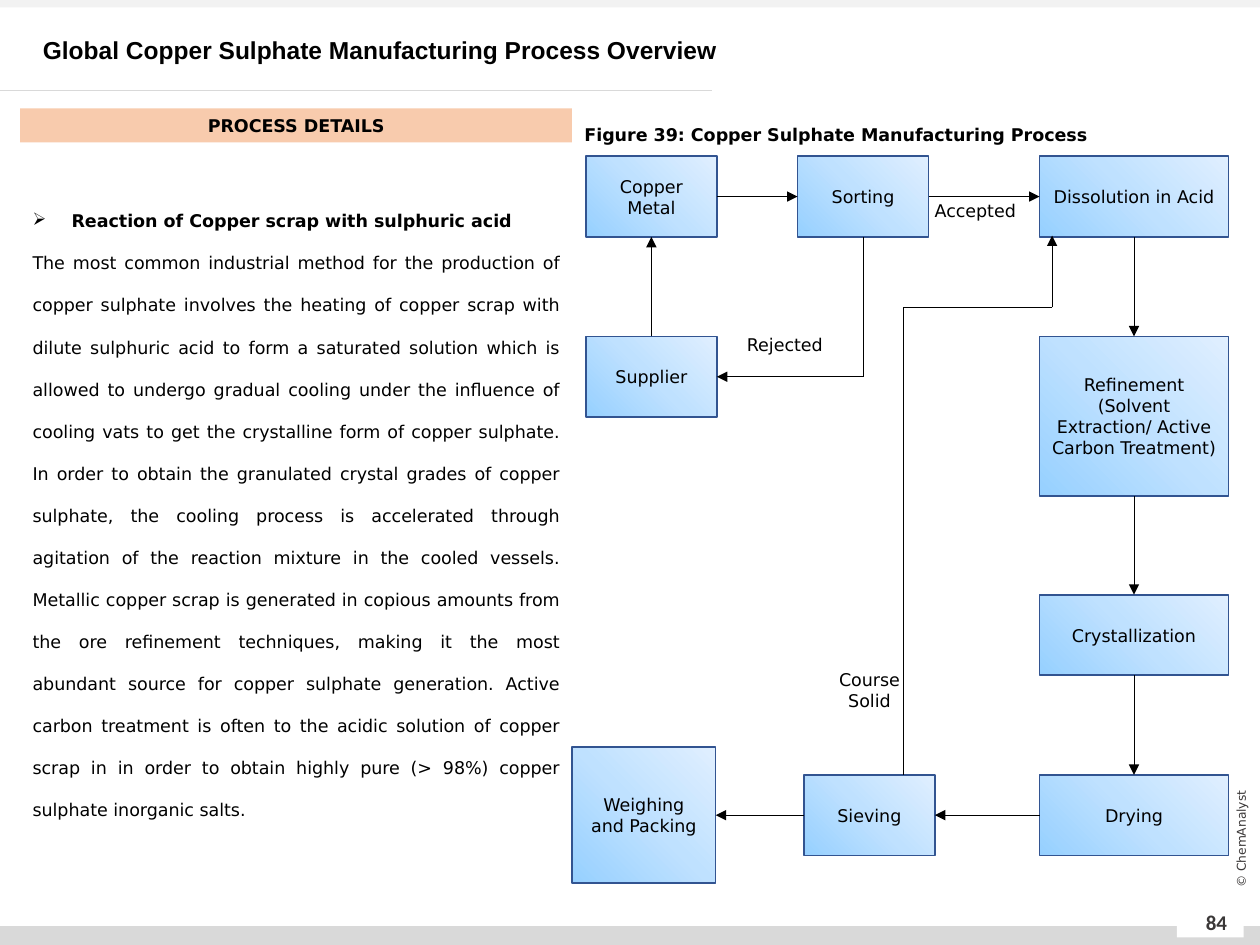
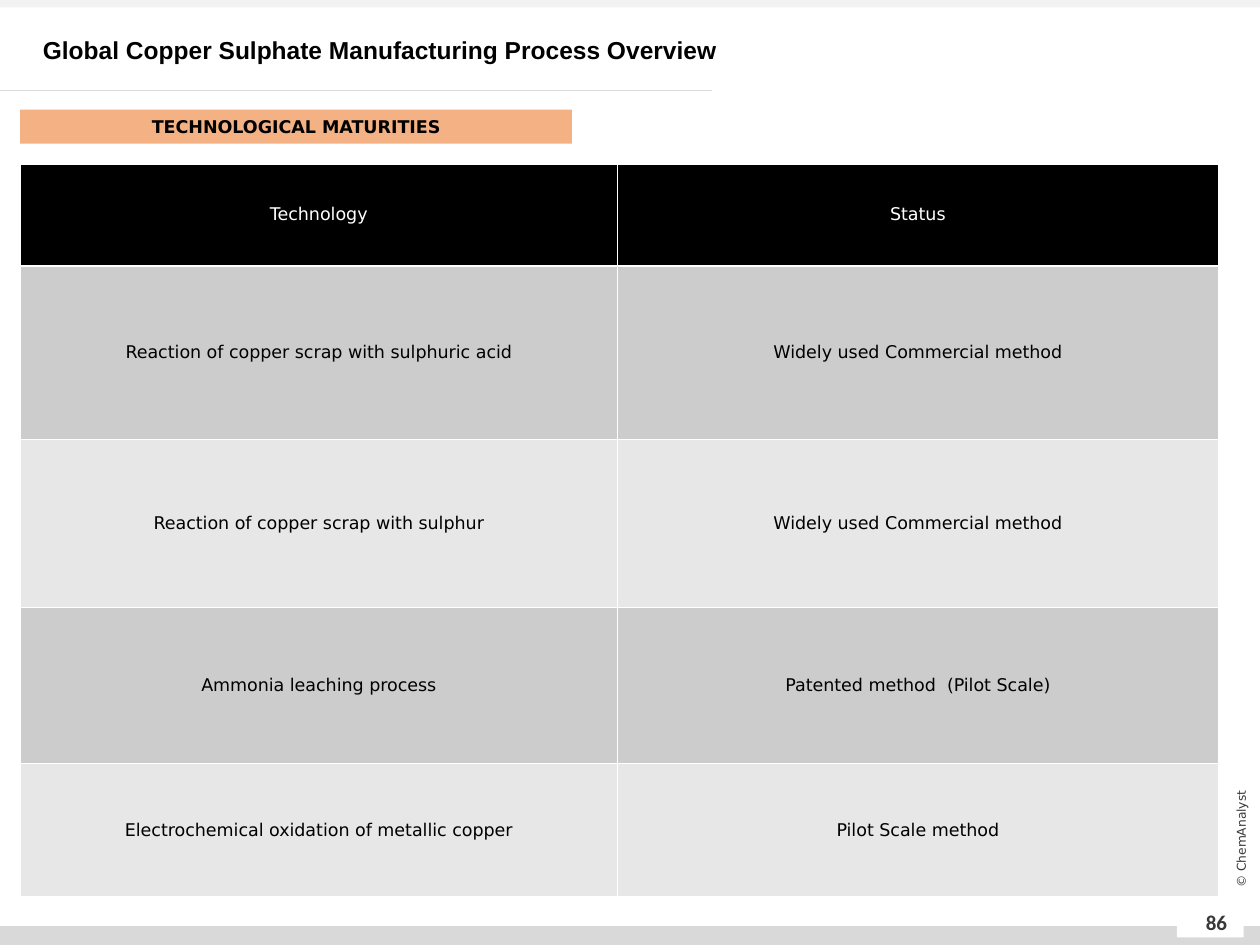
"""Build two slides on how copper sulphate is made and how mature each route is."""
from copy import deepcopy
from dataclasses import dataclass

from lxml.etree import SubElement
from pptx import Presentation
from pptx.dml.color import RGBColor
from pptx.enum.shapes import MSO_CONNECTOR, MSO_SHAPE
from pptx.enum.text import MSO_ANCHOR, MSO_AUTO_SIZE, PP_ALIGN
from pptx.oxml.ns import qn
from pptx.util import Inches, Pt


@dataclass(frozen=True)
class Theme:
    font: str = "DejaVu Sans"
    title_font: str = "Arial"
    number_font: str = "Calibri"
    title_size: int = 14
    number_size: int = 12
    body_size: int = 10
    credit_size: int = 7
    ink: str = "000000"
    paper: str = "FFFFFF"
    soft_ink: str = "3B3838"
    rule: str = "D9D9D9"
    top_band: str = "F2F2F2"
    step_line: str = "325491"
    step_stops: tuple = ((0, "96D0FF"), (0.5, "BFE1FF"), (1, "E0EFFF"))
    row_fills: tuple = ("E7E7E7", "CCCCCC")


theme = Theme()


def write(frame, text, size=theme.body_size, font=theme.font, color=theme.ink,
          bold=False, align=PP_ALIGN.CENTER, anchor=MSO_ANCHOR.MIDDLE):
    frame.word_wrap = True
    frame.vertical_anchor = anchor
    para = frame.paragraphs[0]
    para.alignment = align
    span = para.add_run()
    span.text = text
    span.font.size = Pt(size)
    span.font.name = font
    span.font.bold = bold
    span.font.color.rgb = RGBColor.from_string(color)
    return para


def draw_line(page, start, end, color=theme.ink, arrow=False):
    points = [(0, 0) if isinstance(point[0], str) else point for point in (start, end)]
    lengths = [Inches(value) for point in points for value in point]
    line = page.shapes.add_connector(MSO_CONNECTOR.STRAIGHT, *lengths)
    if isinstance(start[0], str):
        line.begin_connect(steps[start[0]], start[1])
    if isinstance(end[0], str):
        line.end_connect(steps[end[0]], end[1])
    line.line.width = Pt(0.5)
    line.line.color.rgb = RGBColor.from_string(color)
    properties = line._element.spPr
    if arrow:
        SubElement(properties.find(qn("a:ln")), qn("a:tailEnd"), type="triangle")
    SubElement(properties, qn("a:effectLst"))


deck = Presentation()
deck.slide_width, deck.slide_height = Inches(10), Inches(7.5)

bands = [
    ((0, 7.35, 10, 0.15), theme.rule),
    ((0, 0, 10, 0.06), theme.top_band),
    ((9.34, 7.22, 0.53, 0.22), theme.paper),
]
headings = [
    ("84", "PROCESS DETAILS", 0.86, "F8CBAD"),
    ("86", "TECHNOLOGICAL MATURITIES", 0.87, "F4B183"),
]
for number, heading, heading_top, heading_fill in headings:
    page = deck.slides.add_slide(deck.slide_layouts[5])
    heading_band = ((0.16, heading_top, 4.38, 0.27), heading_fill)
    for place, fill in bands + [heading_band]:
        box = page.shapes.add_shape(MSO_SHAPE.RECTANGLE, *map(Inches, place))
        box.shadow.inherit = False
        box.fill.solid()
        box.fill.fore_color.rgb = RGBColor.from_string(fill)
        box.line.fill.background()
    write(box.text_frame, heading, bold=True)
    draw_line(page, (0, 0.72), (5.65, 0.72), theme.rule)

    box = page.shapes.add_textbox(Inches(9.41), Inches(7.12), Inches(0.49), Inches(0.4))
    write(box.text_frame, number, theme.number_size, theme.number_font, theme.soft_ink, True)
    box = page.shapes.add_textbox(Inches(9.25), Inches(6.58), Inches(1.2), Inches(0.16))
    box.rotation = 270
    write(box.text_frame, "© ChemAnalyst", theme.credit_size, color=theme.soft_ink)

    title = page.shapes.title
    title.left, title.top = Inches(0.24), Inches(0.22)
    title.width, title.height = Inches(8.87), Inches(0.34)
    title.text_frame.auto_size = MSO_AUTO_SIZE.NONE
    para = write(title.text_frame, "Global Copper Sulphate Manufacturing Process Overview",
                 theme.title_size, theme.title_font, bold=True, align=PP_ALIGN.LEFT)
    para.line_spacing = Pt(17)

process_page, maturity_page = deck.slides

box = process_page.shapes.add_textbox(Inches(0.16), Inches(1.62), Inches(4.38), Inches(5.01))
para = write(box.text_frame, "Reaction of Copper scrap with sulphuric acid", bold=True,
             align=PP_ALIGN.LEFT, anchor=MSO_ANCHOR.TOP)
layout = para._p.get_or_add_pPr()
layout.set("marL", str(Inches(0.31)))
layout.set("indent", str(-Inches(0.31)))
SubElement(layout, qn("a:buChar"), char="➢")
para = box.text_frame.add_paragraph()
para.alignment = PP_ALIGN.JUSTIFY
para.line_spacing = 2.0
span = para.add_run()
span.text = (
    "The most common industrial method for the production of copper sulphate involves the "
    "heating of copper scrap with dilute sulphuric acid to form a saturated solution which is "
    "allowed to undergo gradual cooling under the influence of cooling vats to get the "
    "crystalline form of copper sulphate. In order to obtain the granulated crystal grades of "
    "copper sulphate, the cooling process is accelerated through agitation of the reaction "
    "mixture in the cooled vessels. Metallic copper scrap is generated in copious amounts from "
    "the ore refinement techniques, making it the most abundant source for copper sulphate "
    "generation. Active carbon treatment is often to the acidic solution of copper scrap in in "
    "order to obtain highly pure (> 98%) copper sulphate inorganic salts."
)
span.font.size = Pt(theme.body_size)
span.font.name = theme.font
span.font.color.rgb = RGBColor.from_string(theme.ink)

step_places = {
    "Copper Metal": (4.65, 1.24, 1.04, 0.64),
    "Sorting": (6.33, 1.24, 1.04, 0.64),
    "Dissolution in Acid": (8.25, 1.24, 1.5, 0.64),
    "Supplier": (4.65, 2.67, 1.04, 0.64),
    "Refinement (Solvent Extraction/ Active Carbon Treatment)": (8.25, 2.67, 1.5, 1.27),
    "Crystallization": (8.25, 4.72, 1.5, 0.64),
    "Drying": (8.25, 6.15, 1.5, 0.64),
    "Sieving": (6.38, 6.15, 1.04, 0.64),
    "Weighing and Packing": (4.54, 5.93, 1.14, 1.08),
}
steps = {}
for name, place in step_places.items():
    box = process_page.shapes.add_shape(MSO_SHAPE.RECTANGLE, *map(Inches, place))
    box.shadow.inherit = False
    box.fill.gradient()
    box.fill.gradient_angle = 45
    stop_list = box._element.spPr.find(qn("a:gradFill")).find(qn("a:gsLst"))
    stop_list.append(deepcopy(stop_list[-1]))
    for stop, (position, color) in zip(box.fill.gradient_stops, theme.step_stops):
        stop.position = position
        stop.color.rgb = RGBColor.from_string(color)
    box.line.width = Pt(1)
    box.line.color.rgb = RGBColor.from_string(theme.step_line)
    write(box.text_frame, name)
    steps[name] = box

refinement = "Refinement (Solvent Extraction/ Active Carbon Treatment)"
arrows = [
    (("Copper Metal", 3), ("Sorting", 1)),
    (("Sorting", 3), ("Dissolution in Acid", 1)),
    (("Supplier", 0), ("Copper Metal", 2)),
    ((6.85, 2.99), ("Supplier", 3)),
    (("Dissolution in Acid", 2), (refinement, 0)),
    ((refinement, 2), ("Crystallization", 0)),
    (("Crystallization", 2), ("Drying", 0)),
    (("Drying", 1), ("Sieving", 3)),
    (("Sieving", 1), ("Weighing and Packing", 3)),
    ((8.35, 2.44), (8.35, 1.87)),
]
for start, end in arrows:
    draw_line(process_page, start, end, arrow=True)
draw_line(process_page, ("Sorting", 2), (6.85, 2.99))
draw_line(process_page, (7.17, 6.15), (7.17, 2.44))
draw_line(process_page, (7.17, 2.44), (8.35, 2.44))

labels = [
    ("Rejected", (5.83, 2.6, 1.03, 0.25), PP_ALIGN.LEFT),
    ("Accepted", (7.32, 1.54, 1.03, 0.25), PP_ALIGN.LEFT),
    ("Course Solid", (6.49, 5.26, 0.82, 0.41), PP_ALIGN.CENTER),
]
for text, place, align in labels:
    box = process_page.shapes.add_textbox(*map(Inches, place))
    write(box.text_frame, text, align=align, anchor=MSO_ANCHOR.TOP)

box = process_page.shapes.add_textbox(Inches(4.54), Inches(0.85), Inches(4.47), Inches(0.32))
caption = write(box.text_frame, "Figure 39: Copper Sulphate Manufacturing Process", bold=True,
                align=PP_ALIGN.LEFT, anchor=MSO_ANCHOR.TOP)
caption.line_spacing = 1.5

maturities = [
    ("Technology", "Status"),
    ("Reaction of copper scrap with sulphuric acid", "Widely used Commercial method"),
    ("Reaction of copper scrap with sulphur", "Widely used Commercial method"),
    ("Ammonia leaching process", "Patented method  (Pilot Scale)"),
    ("Electrochemical oxidation of metallic copper", "Pilot Scale method"),
]
table = maturity_page.shapes.add_table(
    len(maturities), 2, Inches(0.16), Inches(1.3), Inches(9.51), Inches(5.82)).table
for column, width in zip(table.columns, (4.74, 4.77)):
    column.width = Inches(width)
for row, height in zip(table.rows, (0.81, 1.38, 1.33, 1.24, 1.06)):
    row.height = Inches(height)
for row_index, texts in enumerate(maturities):
    is_header = row_index == 0
    fill = theme.ink if is_header else theme.row_fills[row_index % 2]
    for column_index, text in enumerate(texts):
        cell = table.cell(row_index, column_index)
        write(cell.text_frame, text, color=theme.paper if is_header else theme.ink)
        cell.vertical_anchor = MSO_ANCHOR.MIDDLE
        properties = cell._tc.get_or_add_tcPr()
        for side in ("a:lnL", "a:lnR", "a:lnT", "a:lnB"):
            border = SubElement(properties, qn(side), w=str(Pt(1)))
            paint = SubElement(border, qn("a:solidFill"))
            SubElement(paint, qn("a:srgbClr"), val=theme.paper)
        cell.fill.solid()
        cell.fill.fore_color.rgb = RGBColor.from_string(fill)

deck.save("out.pptx")
